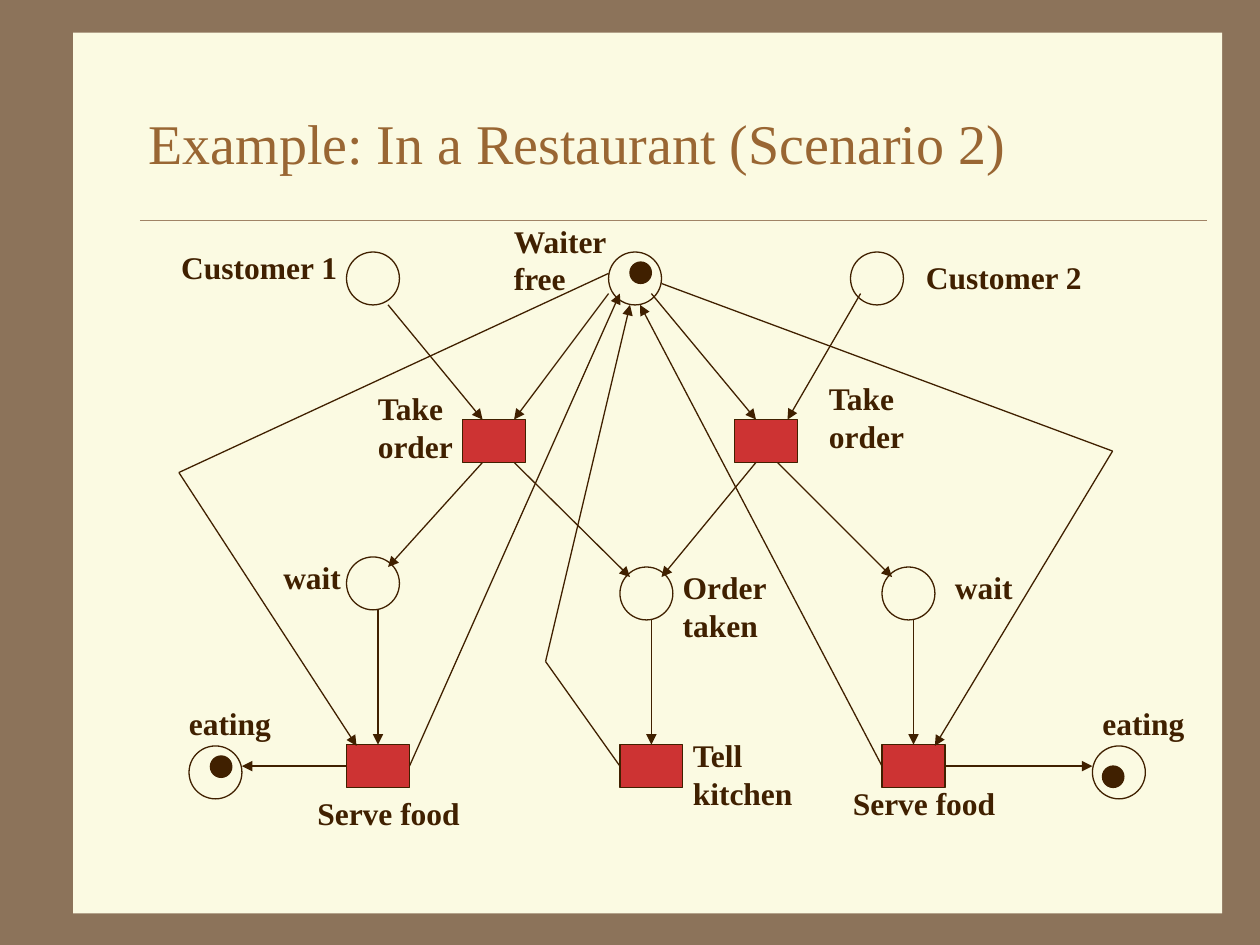
import pptx
import pptx.util
import pptx.dml.color
import pptx.enum.shapes
import pptx.enum.text
import pptx.oxml
import pptx.oxml.ns

Inches = pptx.util.Inches
Pt = pptx.util.Pt
SHAPE = pptx.enum.shapes.MSO_SHAPE
COLORS = {
    "frame": "8C735A",
    "paper": "FBFAE2",
    "rule": "A08366",
    "title": "996633",
    "ink": "402000",
    "transition": "CD3333",
}
COLORS = {part: pptx.dml.color.RGBColor.from_string(code) for part, code in COLORS.items()}
TOP, LEFT, BOTTOM, RIGHT = 0, 1, 2, 3

deck = pptx.Presentation()
deck.slide_width = Inches(10)
deck.slide_height = Inches(7.5)
slide = deck.slides.add_slide(deck.slide_layouts[6])
slide.background.fill.solid()
slide.background.fill.fore_color.rgb = COLORS["frame"]


def add_figure(preset, x, y, width, height, fill=None, line="ink"):
    figure = slide.shapes.add_shape(preset, Inches(x), Inches(y), Inches(width), Inches(height))
    figure.shadow.inherit = False
    if fill:
        figure.fill.solid()
        figure.fill.fore_color.rgb = COLORS[fill]
    else:
        figure.fill.background()
    if line:
        figure.line.color.rgb = COLORS[line]
        figure.line.width = Pt(0.75)
    else:
        figure.line.fill.background()
    return figure


def add_text(text, x, y, width, height, size, color, bold):
    box = slide.shapes.add_textbox(Inches(x), Inches(y), Inches(width), Inches(height))
    frame = box.text_frame
    frame.word_wrap = False
    for index, line in enumerate(text.split("\n")):
        paragraph = frame.add_paragraph() if index else frame.paragraphs[0]
        run = paragraph.add_run()
        run.text = line
        run.font.name = "Times New Roman"
        run.font.size = Pt(size)
        run.font.bold = bold
        run.font.color.rgb = COLORS[color]
    return frame


add_figure(SHAPE.RECTANGLE, 0.58, 0.26, 9.12, 6.99, "paper", None)
title = add_text("Example: In a Restaurant (Scenario 2)", 1.08, 0.5, 8.5, 1.25, 32, "title", False)
title.word_wrap = True
title.vertical_anchor = pptx.enum.text.MSO_ANCHOR.MIDDLE

places = [
    (2.75, 2), (4.83, 2), (6.75, 2),
    (2.75, 4.42), (4.92, 4.5), (7, 4.5),
    (1.5, 5.92), (8.67, 5.92),
]
for x, y in places:
    add_figure(SHAPE.OVAL, x, y, 0.42, 0.42)

transitions = {
    "take order 1": (3.67, 3.33),
    "take order 2": (5.83, 3.33),
    "serve food 1": (2.75, 5.91),
    "tell kitchen": (4.92, 5.91),
    "serve food 2": (7, 5.91),
}
transitions = {
    name: add_figure(SHAPE.RECTANGLE, x, y, 0.5, 0.34, "transition")
    for name, (x, y) in transitions.items()
}

tokens = [(5, 2.08), (1.67, 6), (8.75, 6.08)]
for x, y in tokens:
    add_figure(SHAPE.OVAL, x, y, 0.17, 0.17, "ink")

arcs = [
    ((3.08, 2.42), (3.83, 3.33), True),
    ((4.83, 2.33), (4.08, 3.33), True),
    ((5.17, 2.33), (6, 3.33), True),
    ((6.83, 2.33), (6.25, 3.33), True),
    ((3.83, 3.67), (3.08, 4.5), True),
    ((4.08, 3.67), (5, 4.58), True),
    ((6, 3.67), (5.25, 4.58), True),
    ((6.17, 3.67), (7.08, 4.58), True),
    ((3, 4.83), ("serve food 1", TOP), True),
    ((5.17, 4.92), ("tell kitchen", TOP), True),
    ((7.25, 4.92), ("serve food 2", TOP), True),
    (("serve food 1", LEFT), (1.92, 6.08), True),
    (("serve food 2", RIGHT), (8.67, 6.08), True),
    (("serve food 1", RIGHT), (4.92, 2.33), True),
    (("serve food 2", LEFT), (5.08, 2.42), True),
    (("tell kitchen", LEFT), (4.33, 5.25), False),
    ((4.33, 5.25), (5, 2.42), True),
    ((4.83, 2.17), (1.42, 3.75), False),
    ((1.42, 3.75), (2.83, 5.92), True),
    ((5.25, 2.25), (8.83, 3.58), False),
    ((8.83, 3.58), (7.42, 5.92), True),
]
title_rule = ((1.11, 1.75), (9.58, 1.75), False)
for start, end, has_arrow in [title_rule] + arcs:
    start_joined, end_joined = start[0] in transitions, end[0] in transitions
    x1, y1 = end if start_joined else start
    x2, y2 = start if end_joined else end
    arc = slide.shapes.add_connector(
        pptx.enum.shapes.MSO_CONNECTOR.STRAIGHT, Inches(x1), Inches(y1), Inches(x2), Inches(y2)
    )
    if start_joined:
        arc.begin_connect(transitions[start[0]], start[1])
    if end_joined:
        arc.end_connect(transitions[end[0]], end[1])
    is_rule = start == title_rule[0]
    arc.line.color.rgb = COLORS["rule" if is_rule else "ink"]
    arc.line.width = Pt(0.25 if is_rule else 0.75)
    if has_arrow:
        arrow = pptx.oxml.parse_xml(
            f'<a:tailEnd {pptx.oxml.ns.nsdecls("a")} type="triangle"/>'
        )
        arc.line._get_or_add_ln().append(arrow)
    arc._element.spPr.append(
        pptx.oxml.parse_xml(f'<a:effectLst {pptx.oxml.ns.nsdecls("a")}/>')
    )

labels = [
    ("Customer 1", 1.34, 1.92, 1.44),
    ("Waiter\nfree", 3.98, 1.71, 0.95),
    ("Customer 2", 7.25, 2, 1.44),
    ("Take\norder", 2.9, 3.04, 0.85),
    ("Take\norder", 6.48, 2.96, 0.85),
    ("wait", 2.15, 4.38, 0.66),
    ("Order\ntaken", 5.32, 4.46, 0.92),
    ("wait", 7.48, 4.46, 0.66),
    ("eating", 1.4, 5.54, 0.85),
    ("Serve food", 2.42, 6.25, 1.33),
    ("Tell\nkitchen", 5.4, 5.79, 0.99),
    ("Serve food", 6.67, 6.17, 1.33),
    ("eating", 8.65, 5.54, 0.85),
]
for text, x, y, width in labels:
    height = 0.7 if "\n" in text else 0.4
    label = add_text(text, x, y, width, height, 18, "ink", True)
    label.auto_size = pptx.enum.text.MSO_AUTO_SIZE.SHAPE_TO_FIT_TEXT

deck.save("out.pptx")
